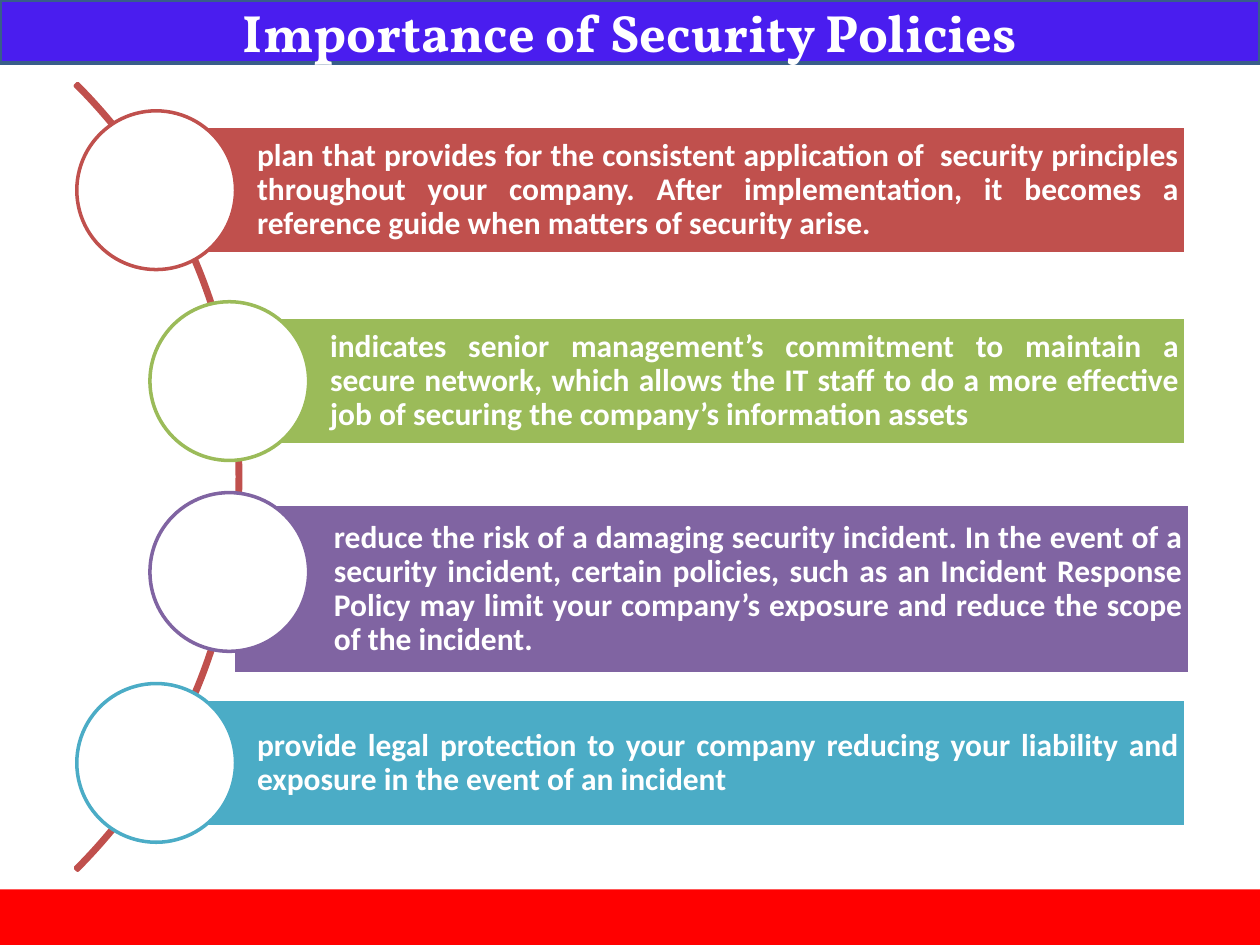
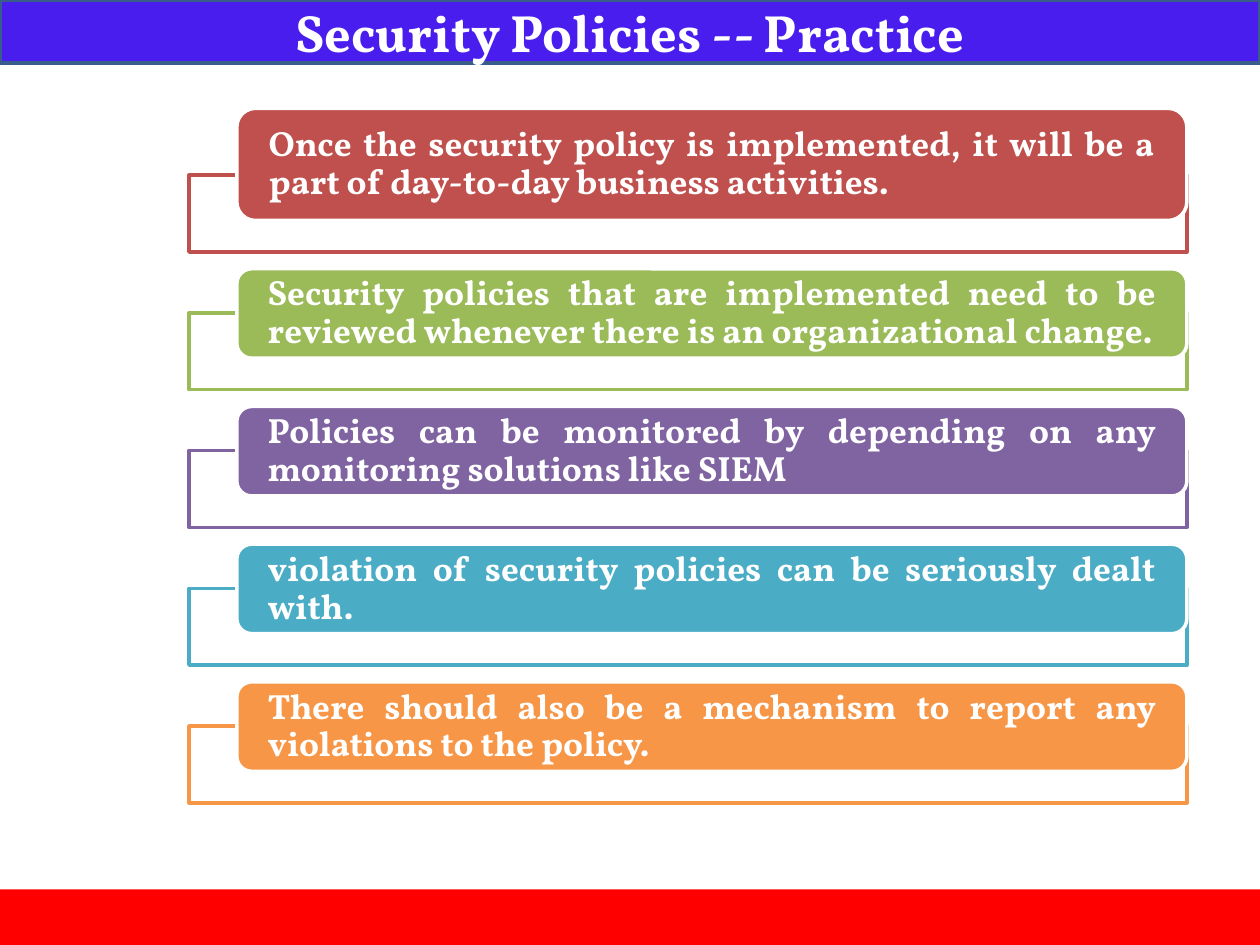
from lxml import etree
from pptx import Presentation
from pptx.dml.color import RGBColor
from pptx.enum.shapes import MSO_SHAPE
from pptx.enum.text import MSO_ANCHOR, PP_ALIGN
from pptx.oxml.ns import qn
from pptx.util import Inches, Pt

RECT = MSO_SHAPE.RECTANGLE
ROUND = MSO_SHAPE.ROUNDED_RECTANGLE
OVAL = MSO_SHAPE.OVAL
ARC = MSO_SHAPE.BLOCK_ARC
MIDDLE = MSO_ANCHOR.MIDDLE
CENTER, JUSTIFY = PP_ALIGN.CENTER, PP_ALIGN.JUSTIFY

COLS, ROWS = 100, 75
COLORS = {
    "white": "FFFFFF", "title": "4A1DEF", "edge": "385D8A", "foot": "FF0000",
    "red": "C0504D", "green": "9BBB59", "purple": "8064A2",
    "teal": "4BACC6", "orange": "F79646",
}
BODY, HEAD = "Calibri", "Vollkorn"

REASONS = [
    ("red", 0, "plan that provides for the consistent application of  security "
     "principles throughout your company. After implementation, it becomes a "
     "reference guide when matters of security arise."),
    ("green", 1, "indicates senior management’s commitment to maintain a secure "
     "network, which allows the IT staff to do a more effective job of securing "
     "the company’s information assets"),
    ("purple", 1, "reduce the risk of a damaging security incident. In the event "
     "of a security incident, certain policies, such as an Incident Response "
     "Policy may limit your company’s exposure and reduce the scope of the "
     "incident."),
    ("teal", 0, "provide legal protection to your company reducing your liability "
     "and exposure in the event of an incident"),
]
HABITS = [
    ("red", "Once the security policy is implemented, it will be a part of "
     "day-to-day business activities."),
    ("green", "Security policies that are implemented need to be reviewed "
     "whenever there is an organizational change."),
    ("purple", "Policies can be monitored by depending on any monitoring "
     "solutions like SIEM"),
    ("teal", "violation of security policies can be seriously dealt with."),
    ("orange", "There should also be a mechanism to report any violations to "
     "the policy."),
]


def tint(name):
    """Return the named colour."""
    return RGBColor.from_string(COLORS[name])


class Deck:
    """Holds the style and the current slide."""

    def __init__(self):
        """Start an empty 4:3 deck."""
        self.prs = Presentation()
        self.prs.slide_width, self.prs.slide_height = Inches(10), Inches(7.5)
        self.col = self.prs.slide_width / COLS
        self.row = self.prs.slide_height / ROWS
        self.slide = None

    def page(self, title):
        """Add a slide with its title band and footer band."""
        self.slide = self.prs.slides.add_slide(self.prs.slide_layouts[6])
        band = self.shape(RECT, (0, 0, COLS, 5), "title", "edge")
        self.label(band, title, HEAD, 30, CENTER, (1, 0.5, 1, 0.5))
        self.shape(RECT, (0, 70.6, COLS, 4.4), "foot")

    def shape(self, kind, box, fill=None, line=None):
        """Draw a preset shape; box is left, top, width, height in cells."""
        left, top, wide, high = box
        item = self.slide.shapes.add_shape(
            kind, round(left * self.col), round(top * self.row),
            round(wide * self.col), round(high * self.row))
        item.shadow.inherit = False
        if fill:
            item.fill.solid()
            item.fill.fore_color.rgb = tint(fill)
        else:
            item.fill.background()
        if line:
            item.line.color.rgb = tint(line)
            item.line.width = Pt(2)
        else:
            item.line.fill.background()
        return item

    def label(self, item, text, font, size, align, pad, space=1.0):
        """Set bold white text; pad is left, top, right, bottom in cells."""
        frame = item.text_frame
        frame.word_wrap = True
        frame.vertical_anchor = MIDDLE
        frame.margin_left, frame.margin_right = [
            round(n * self.col) for n in pad[::2]]
        frame.margin_top, frame.margin_bottom = [
            round(n * self.row) for n in pad[1::2]]
        frame.text = text
        para = frame.paragraphs[0]
        para.alignment, para.line_spacing = align, space
        face = para.runs[0].font
        face.name, face.size, face.bold = font, Pt(size), True
        face.color.rgb = tint("white")

    def arc(self):
        """Draw the thin curve that runs behind the circles."""
        item = self.shape(ARC, (-69.2, -6.3, 88.3, 88.3), line="red")
        for i, value in enumerate((189, 27, 0.003)):
            item.adjustments[i] = value

    def reason(self, i, color, step, text):
        """Draw a bar that starts at the centre of its circle."""
        size = 12.6
        left, top = 6.1 + 5.8 * step, 8.8 + 15.15 * i
        start, mid = left + size / 2, top + size / 2
        box = (start, mid - 5.05, 94.1 - start, 10.1)
        if color == "purple":  # the longest text needs a taller bar
            box = (18.5, 40, 75.9, 13.5)
        bar = self.shape(RECT, box, color, "white")
        self.label(bar, text, BODY, 18, JUSTIFY, (8, 0.5, 0.5, 0.5), 0.9)
        self.shape(OVAL, (left, top, size, size), "white", color)

    def habit(self, i, color, text):
        """Draw an open frame with a rounded card over its top edge."""
        top = 13.9 + 10.93 * i
        frame = self.shape(RECT, (15, top, 79.2, 6.1), "white", color)
        paint = frame.element.spPr.find(qn("a:solidFill"))[0]
        etree.SubElement(paint, qn("a:alpha")).set("val", "90000")
        high = 7.1 if i else 8.9
        card = self.shape(ROUND, (18.8, top + 3.6 - high, 75.4, high),
                          color, "white")
        self.label(card, text, HEAD, 20, JUSTIFY, (2.1, 0, 2.1, 0), 0.9)


def main():
    """Build both slides and save them."""
    deck = Deck()
    deck.page("Importance of Security Policies")
    deck.arc()
    for i, entry in enumerate(REASONS):
        deck.reason(i, *entry)
    deck.page("Security Policies -- Practice")
    for i, entry in enumerate(HABITS):
        deck.habit(i, *entry)
    deck.prs.save("out.pptx")


main()
